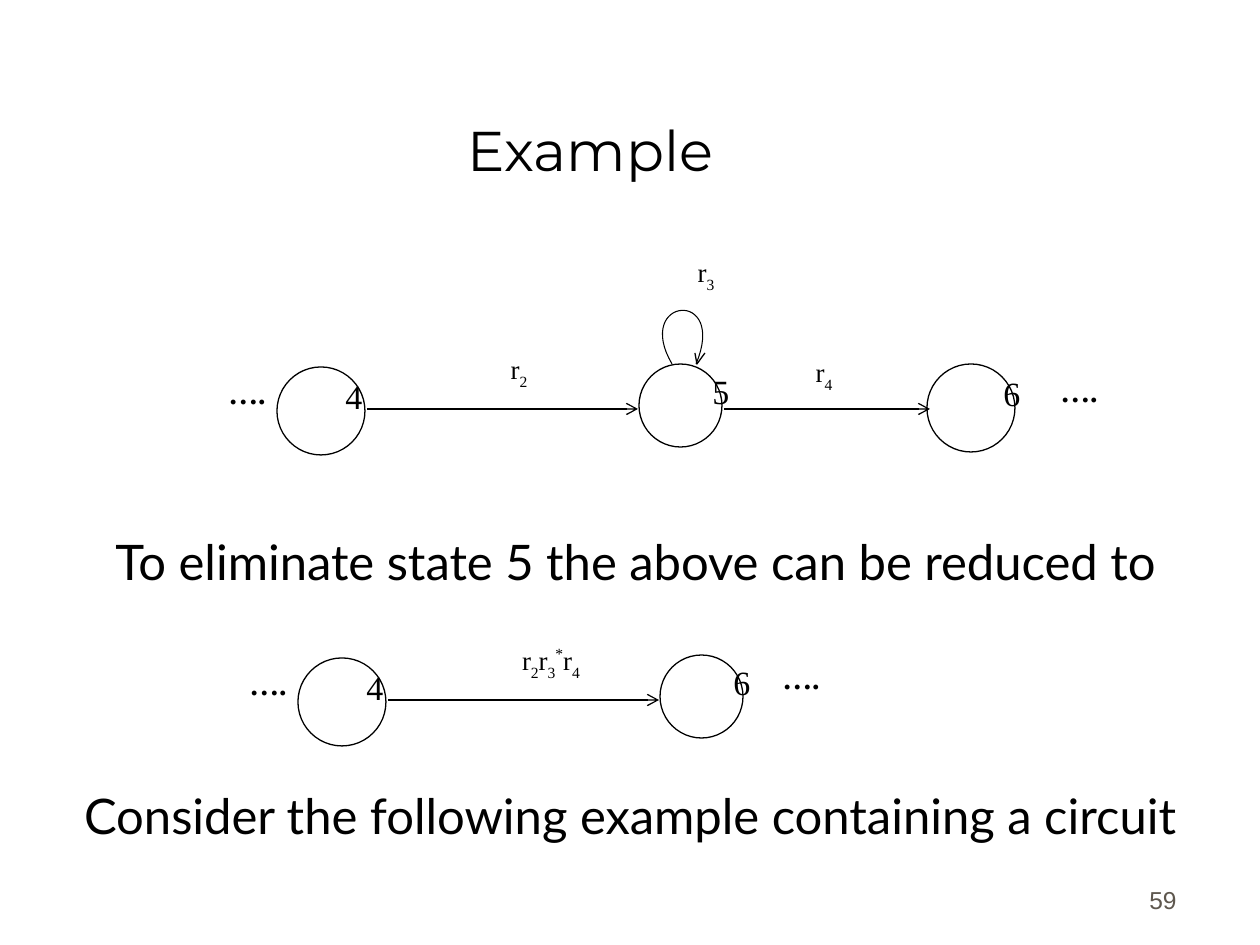
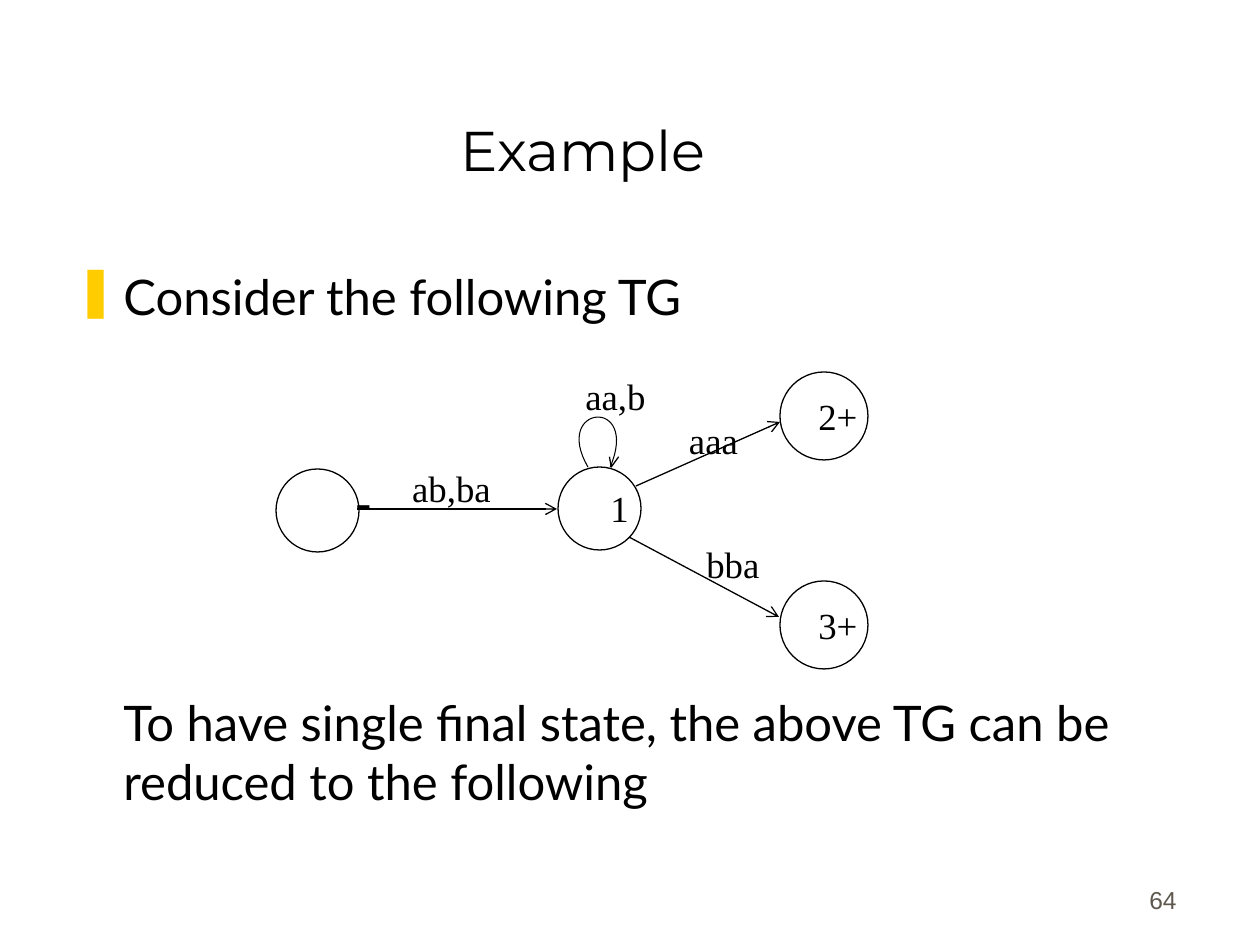
from lxml import etree
from pptx import Presentation
from pptx.dml.color import RGBColor
from pptx.enum.shapes import MSO_CONNECTOR as Connector, MSO_SHAPE as Shape
from pptx.enum.text import MSO_ANCHOR as Anchor, MSO_AUTO_SIZE as AutoSize, PP_ALIGN as Align
from pptx.oxml.ns import qn
from pptx.util import Emu, Pt

PX = 914400 / 126
BLACK, WHITE, GREY, YELLOW = "000000", "FFFFFF", "5E574E", "FFCC00"
TITLE_FONT, BODY_FONT, DIAGRAM_FONT = "Montserrat", "Lato", "Times New Roman"
BASELINES = {"_": "-30000", "^": "40000"}
LINE_WIDTH = 0.75
CURVE_STEPS = 32
BULLET_INDENT = 48


def px(length):
    return Emu(round(length * PX))


def color(value):
    return RGBColor.from_string(value)


def place(shape, box):
    shape.left, shape.top, shape.width, shape.height = map(px, box)


def split_scripts(text):
    """Yield (text, baseline): "_" lowers and "^" raises the next character."""
    plain, characters = "", iter(text)
    for character in characters:
        if character in BASELINES:
            if plain:
                yield plain, None
            yield next(characters), BASELINES[character]
            plain = ""
        else:
            plain += character
    if plain:
        yield plain, None


def write(paragraph, text, size=28, font=BODY_FONT, fill=BLACK, bold=False,
          align=Align.CENTER, spacing=None):
    paragraph.alignment = align
    if spacing:
        paragraph.line_spacing = spacing
    for part, baseline in split_scripts(text):
        run = paragraph.add_run()
        run.text = part
        run.font.size, run.font.name, run.font.bold = Pt(size), font, bold
        run.font.color.rgb = color(fill)
        if baseline:
            run._r.get_or_add_rPr().set("baseline", baseline)


def add_text(slide, text, box, anchor=Anchor.TOP, **text_format):
    shape = slide.shapes.add_textbox(*map(px, box))
    frame = shape.text_frame
    frame.word_wrap, frame.vertical_anchor = True, anchor
    write(frame.paragraphs[0], text, **text_format)
    return frame


def add_label(slide, text, box, size=21, **text_format):
    add_text(slide, text, box, size=size, font=DIAGRAM_FONT, **text_format)


def add_dots(slide, left, top):
    add_label(slide, "….", (left, top, 96, 53), size=17.1, bold=True, spacing=0.8)


def add_state_name(slide, text, left, top):
    add_label(slide, text, (left, top, 128, 53), size=19.4, spacing=0.8)


def add_edge_name(slide, text, center, top):
    add_label(slide, text, (center - 100, top, 200, 53), size=15.4, spacing=0.8)


def draw_outline(shape, width=LINE_WIDTH):
    shape.line.color.rgb = color(BLACK)
    shape.line.width = Pt(width)


def add_state(slide, left, top, diameter):
    circle = slide.shapes.add_shape(Shape.OVAL, *map(px, (left, top, diameter, diameter)))
    circle.shadow.inherit = False
    circle.fill.solid()
    circle.fill.fore_color.rgb = color(WHITE)
    draw_outline(circle)


def add_edge(slide, *ends):
    edge = slide.shapes.add_connector(Connector.STRAIGHT, *map(px, ends))
    draw_outline(edge)
    etree.SubElement(edge.line._get_or_add_ln(), qn("a:tailEnd"), type="arrow")
    etree.SubElement(edge._element.spPr, qn("a:effectLst"))


def add_path(slide, points, width=LINE_WIDTH):
    start, *others = [(px(x), px(y)) for x, y in points]
    builder = slide.shapes.build_freeform(*start)
    builder.add_line_segments(others, close=False)
    path = builder.convert_to_shape()
    path.shadow.inherit = False
    path.fill.background()
    draw_outline(path, width)


def add_self_loop(slide, left, foot, scale=1):
    """Draw a loop that starts at (left, foot) and returns to its right."""
    def moved(points):
        return [(left + scale * x, foot + scale * y) for x, y in points]

    def bezier(t):
        weights = ((1 - t) ** 3, 3 * t * (1 - t) ** 2, 3 * t ** 2 * (1 - t), t ** 3)
        controls = ((0, 0), (-39, -67), (56, -76), (24, 0))
        return [sum(w * c[axis] for w, c in zip(weights, controls)) for axis in (0, 1)]

    add_path(slide, moved(bezier(i / CURVE_STEPS) for i in range(CURVE_STEPS + 1)), 0.6)
    add_path(slide, moved([(33, -11), (25, 0), (23, -11)]))


def add_titled_slide(presentation, title, number):
    slide = presentation.slides.add_slide(presentation.slide_layouts[5])
    place(slide.shapes.title, (55, 32, 1071, 157))
    frame = slide.shapes.title.text_frame
    frame.auto_size, frame.vertical_anchor = AutoSize.NONE, Anchor.BOTTOM
    write(frame.paragraphs[0], title, size=32, font=TITLE_FONT)
    add_text(slide, number, (927, 858, 262, 63), anchor=Anchor.BOTTOM,
             size=14, font="Arial", fill=GREY, align=Align.RIGHT)
    return slide


def add_transition(slide, left, top, target, edge_name, name_center):
    """Draw state 4 and its edge to the target state."""
    add_dots(slide, left, top)
    add_state(slide, left + 78, top - 8, 88)
    add_state_name(slide, "4", left + 91, top + 2)
    add_edge(slide, left + 168, top + 34, left + 439, top + 34)
    add_edge_name(slide, edge_name, left + name_center, top - 26)
    add_state(slide, left + 440, top - 11, 83)
    add_state_name(slide, target, left + 458, top - 3)


def add_full_chain(slide, left, top):
    add_transition(slide, left, top, "5", "r_2", 320)
    add_self_loop(slide, left + 473, top - 11)
    add_edge_name(slide, "r_3", left + 507, top - 123)
    add_state(slide, left + 728, top - 11, 88)
    add_state_name(slide, "6", left + 749, top - 1)
    add_edge(slide, left + 525, top + 34, left + 731, top + 34)
    add_edge_name(slide, "r_4", left + 625, top - 23)
    add_dots(slide, left + 832, top - 2)


def add_reduced_chain(slide, left, top):
    add_transition(slide, left, top, "6", "r_2r_3^*r_4", 331)
    add_dots(slide, left + 533, top - 6)


def add_transition_graph(slide, left, top):
    add_label(slide, "bba", (left + 413, top + 164, 88, 67))
    add_label(slide, "aaa", (left + 374, top + 40, 127, 71))
    add_edge(slide, left + 360, top + 114, left + 504, top + 50)
    add_edge(slide, left + 353, top + 165, left + 503, top + 245)
    for name, state_top in (("2+", top), ("3+", top + 209)):
        add_state(slide, left + 504, state_top, 88)
        add_label(slide, name, (left + 518, state_top + 16, 88, 89))
    add_state(slide, left + 282, top + 95, 83)
    add_label(slide, "1", (left + 302, top + 108, 83, 71))
    add_state(slide, left, top + 97, 83)
    add_label(slide, "-", (left + 24, top + 100, 127, 71), size=26.8, spacing=0.9)
    add_edge(slide, left + 81, top + 137, left + 281, top + 137)
    add_label(slide, "ab,ba", (left + 112, top + 88, 127, 71))
    add_self_loop(slide, left + 312, top + 95, 0.93)
    add_label(slide, "aa,b", (left + 276, top - 4, 127, 71))


def set_indent(paragraph, bullet=None):
    properties = paragraph._p.get_or_add_pPr()
    properties.set("marL", str(px(BULLET_INDENT)))
    properties.set("indent", str(-px(BULLET_INDENT) if bullet else 0))
    if bullet:
        bullet_color = etree.SubElement(properties, qn("a:buClr"))
        etree.SubElement(bullet_color, qn("a:srgbClr"), val=YELLOW)
        etree.SubElement(properties, qn("a:buChar"), char=bullet)


def add_body(slide, box, first, second, gap):
    frame = add_text(slide, first, box, align=Align.LEFT)
    set_indent(frame.paragraphs[0], "❚")
    paragraph = frame.add_paragraph()
    write(paragraph, second, align=Align.LEFT)
    paragraph.space_before = Pt(gap)
    set_indent(paragraph)


def add_elimination_slide(presentation):
    slide = add_titled_slide(presentation, "Example", "59")
    add_full_chain(slide, 199, 375)
    add_reduced_chain(slide, 220, 666)
    add_text(slide, "To eliminate state 5 the above can be reduced to", (53, 525, 1165, 72))
    add_text(slide, "Consider the following example containing a circuit", (21, 779, 1218, 72))


def add_final_state_slide(presentation):
    slide = add_titled_slide(presentation, "Example ", "64")
    add_body(slide, (63, 260, 1126, 575), "Consider the following TG",
             "To have single final state, the above TG can be reduced to the following", 210)
    add_transition_graph(slide, 276, 372)


def main():
    presentation = Presentation()
    presentation.slide_width, presentation.slide_height = px(1260), px(945)
    add_elimination_slide(presentation)
    add_final_state_slide(presentation)
    presentation.save("out.pptx")


if __name__ == "__main__":
    main()
